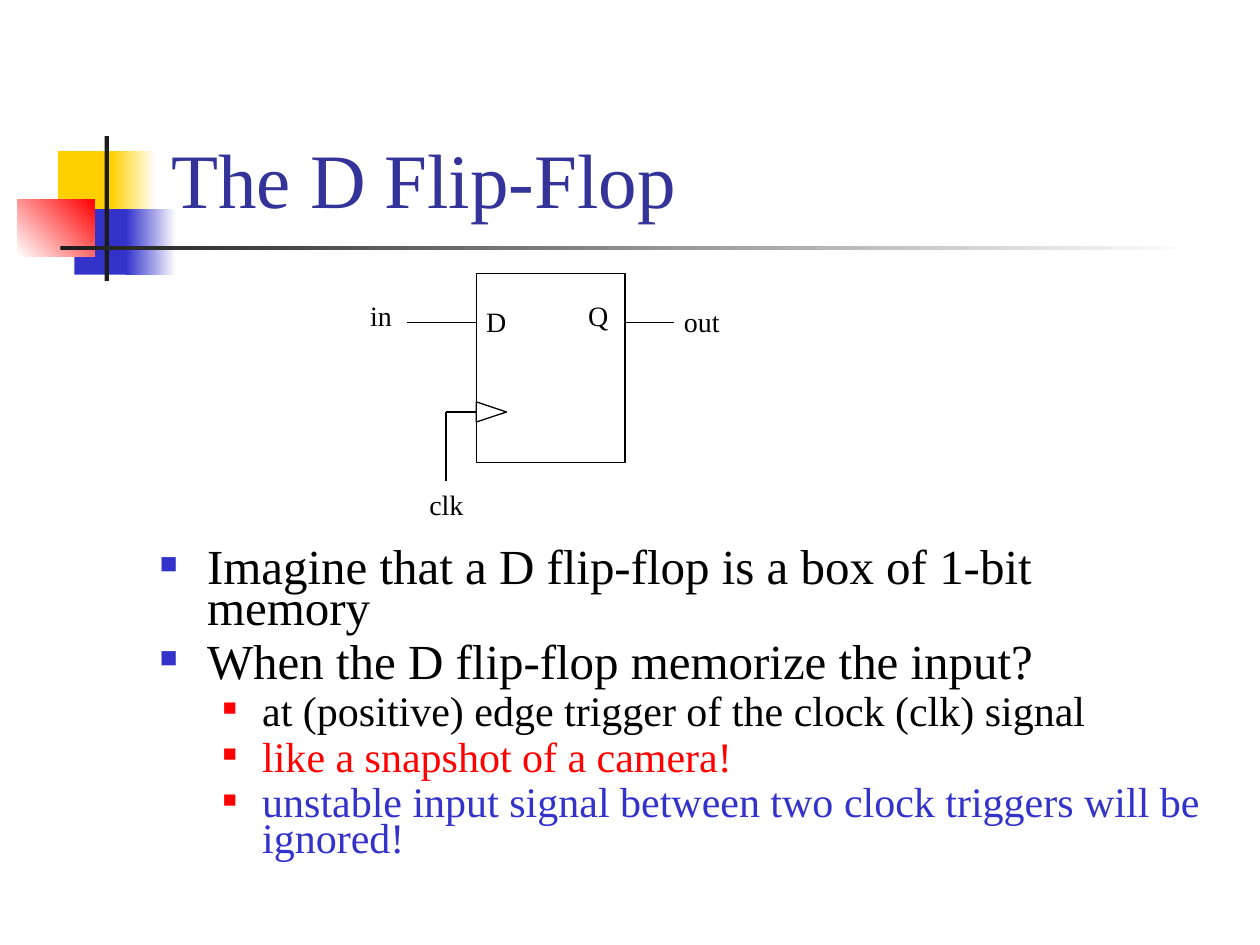
from dataclasses import dataclass

from lxml.etree import SubElement
from pptx import Presentation
from pptx.dml.color import RGBColor
from pptx.enum.shapes import MSO_CONNECTOR, MSO_SHAPE
from pptx.enum.text import MSO_ANCHOR, MSO_AUTO_SIZE
from pptx.oxml.ns import qn
from pptx.util import Inches, Pt

COLUMNS, ROWS = 100, 75
SLIDE_WIDTH, SLIDE_HEIGHT = Inches(10), Inches(7.5)


@dataclass(frozen=True)
class Theme:
    font: str = "Times New Roman"
    title_size: int = 44
    point_size: int = 28
    subpoint_size: int = 24
    label_size: int = 16
    line_width: float = 0.74
    black: str = "000000"
    white: str = "FFFFFF"
    title: str = "333399"
    blue: str = "3333CC"
    red: str = "FF0000"
    yellow: str = "FFCF01"
    charcoal: str = "1C1C1C"


THEME = Theme()


def across(columns):
    return round(SLIDE_WIDTH * columns / COLUMNS)


def down(rows):
    return round(SLIDE_HEIGHT * rows / ROWS)


def place(left, top, width, height):
    return across(left), down(top), across(width), down(height)


def color(value):
    return RGBColor.from_string(value)


def add_block(page, area, start, end=None, angle=0):
    block = page.shapes.add_shape(MSO_SHAPE.RECTANGLE, *place(*area))
    block.shadow.inherit = False
    block.line.fill.background()
    if end is None:
        block.fill.solid()
        block.fill.fore_color.rgb = color(start)
        return
    block.fill.gradient()
    block.fill.gradient_angle = angle
    for stop, value in zip(block.fill.gradient_stops, (start, end)):
        stop.color.rgb = color(value)


def add_outline(page, kind, area, rotation=0):
    outline = page.shapes.add_shape(kind, *place(*area))
    outline.shadow.inherit = False
    outline.rotation = rotation
    outline.fill.background()
    outline.line.color.rgb = color(THEME.black)
    outline.line.width = Pt(THEME.line_width)


def add_wire(page, start, end):
    wire = page.shapes.add_connector(
        MSO_CONNECTOR.STRAIGHT,
        across(start[0]), down(start[1]), across(end[0]), down(end[1]))
    wire.line.color.rgb = color(THEME.black)
    wire.line.width = Pt(THEME.line_width)
    SubElement(wire._element.spPr, qn("a:effectLst"))


def write(para, text, size, ink):
    para.text = text
    for span in para.runs:
        span.font.name = THEME.font
        span.font.size = Pt(size)
        span.font.color.rgb = color(ink)


def add_label(page, left, top, width, text):
    box = page.shapes.add_textbox(*place(left, top, width, 3.7))
    box.text_frame.word_wrap = False
    box.text_frame.auto_size = MSO_AUTO_SIZE.SHAPE_TO_FIT_TEXT
    write(box.text_frame.paragraphs[0], text, THEME.label_size, THEME.black)


def add_bullet(para, margin, hanging, ink, percent):
    settings = para._p.get_or_add_pPr()
    settings.set("marL", str(across(margin)))
    settings.set("indent", str(-across(hanging)))
    bullet_color = SubElement(settings, qn("a:buClr"))
    SubElement(bullet_color, qn("a:srgbClr"), val=ink)
    SubElement(settings, qn("a:buSzPct"), val=str(percent * 1000))
    SubElement(settings, qn("a:buFont"), typeface=THEME.font)
    SubElement(settings, qn("a:buChar"), char="■")


def add_ornament(page):
    add_block(page, (4.6, 12, 4.8, 5.2), THEME.yellow)
    add_block(page, (8.8, 12, 3.6, 5.2), THEME.yellow, THEME.white)
    add_block(page, (5.9, 16.6, 4.6, 5.2), THEME.blue)
    add_block(page, (10, 16.6, 4, 5.2), THEME.blue, THEME.white)
    add_block(page, (1.4, 15.8, 6.1, 4.6), THEME.white, THEME.red, 45)
    add_block(page, (8.3, 10.8, 0.35, 11.5), THEME.charcoal)
    add_block(page, (4.8, 19.5, 90, 0.35), THEME.charcoal, THEME.white)


def add_title(page, text):
    box = page.shapes.add_textbox(*place(12.6, 2.3, 85.2, 16))
    box.text_frame.word_wrap = True
    box.text_frame.vertical_anchor = MSO_ANCHOR.BOTTOM
    write(box.text_frame.paragraphs[0], text, THEME.title_size, THEME.title)


def add_flip_flop(page):
    left, top, width, height = 37.8, 21.7, 11.8, 15
    right = left + width
    signal_row, clock_row, clock_column = 25.6, 32.7, 35.4
    notch_base, notch_depth = 1.6, 2.4
    add_outline(page, MSO_SHAPE.RECTANGLE, (left, top, width, height))
    add_outline(
        page, MSO_SHAPE.ISOSCELES_TRIANGLE,
        (left + (notch_depth - notch_base) / 2, clock_row - notch_depth / 2,
         notch_base, notch_depth), 90)
    wires = [
        ((right, signal_row), (53.5, signal_row)),
        ((left, signal_row), (32.3, signal_row)),
        ((left, clock_row), (clock_column, clock_row)),
        ((clock_column, clock_row), (clock_column, 38.2)),
    ]
    for start, end in wires:
        add_wire(page, start, end)
    labels = [
        (37.6, 23.7, 3.6, "D"),
        (45.7, 23.2, 3.6, "Q"),
        (28.4, 23.2, 3.7, "in"),
        (53.3, 23.7, 4.8, "out"),
        (33.1, 38.2, 4.7, "clk"),
    ]
    for label in labels:
        add_label(page, *label)


def add_points(page):
    box = page.shapes.add_textbox(*place(11.7, 43.3, 85, 28.3))
    frame = box.text_frame
    frame.word_wrap = True
    points = [
        (0, "Imagine that a D flip-flop is a box of 1-bit memory", THEME.black),
        (0, "When the D flip-flop memorize the input?", THEME.black),
        (1, "at (positive) edge trigger of the clock (clk) signal", THEME.black),
        (1, "like a snapshot of a camera!", THEME.red),
        (1, "unstable input signal between two clock triggers will be ignored!",
         THEME.blue),
    ]
    levels = [
        (THEME.point_size, 7, (3.75, 3.75, THEME.blue, 60)),
        (THEME.subpoint_size, 6, (8.13, 3.13, THEME.red, 55)),
    ]
    frame.text = "\n".join(text for _, text, _ in points)
    for para, (level, text, ink) in zip(frame.paragraphs, points):
        size, space, bullet = levels[level]
        write(para, text, size, ink)
        para.level = level
        para.line_spacing = 0.7
        para.space_before = Pt(space)
        add_bullet(para, *bullet)


def main():
    deck = Presentation()
    deck.slide_width, deck.slide_height = SLIDE_WIDTH, SLIDE_HEIGHT
    page = deck.slides.add_slide(deck.slide_layouts[6])
    add_ornament(page)
    add_title(page, "The D Flip-Flop")
    add_points(page)
    add_flip_flop(page)
    deck.save("out.pptx")


main()
